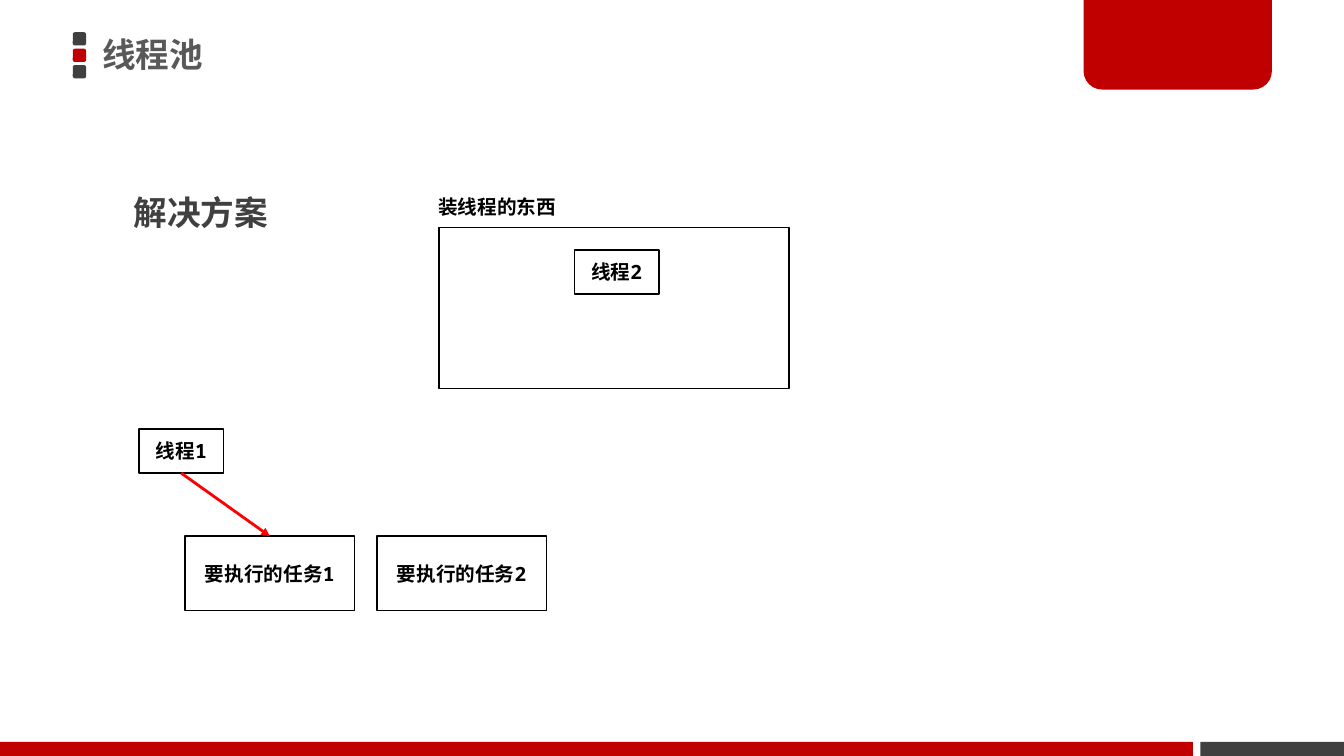
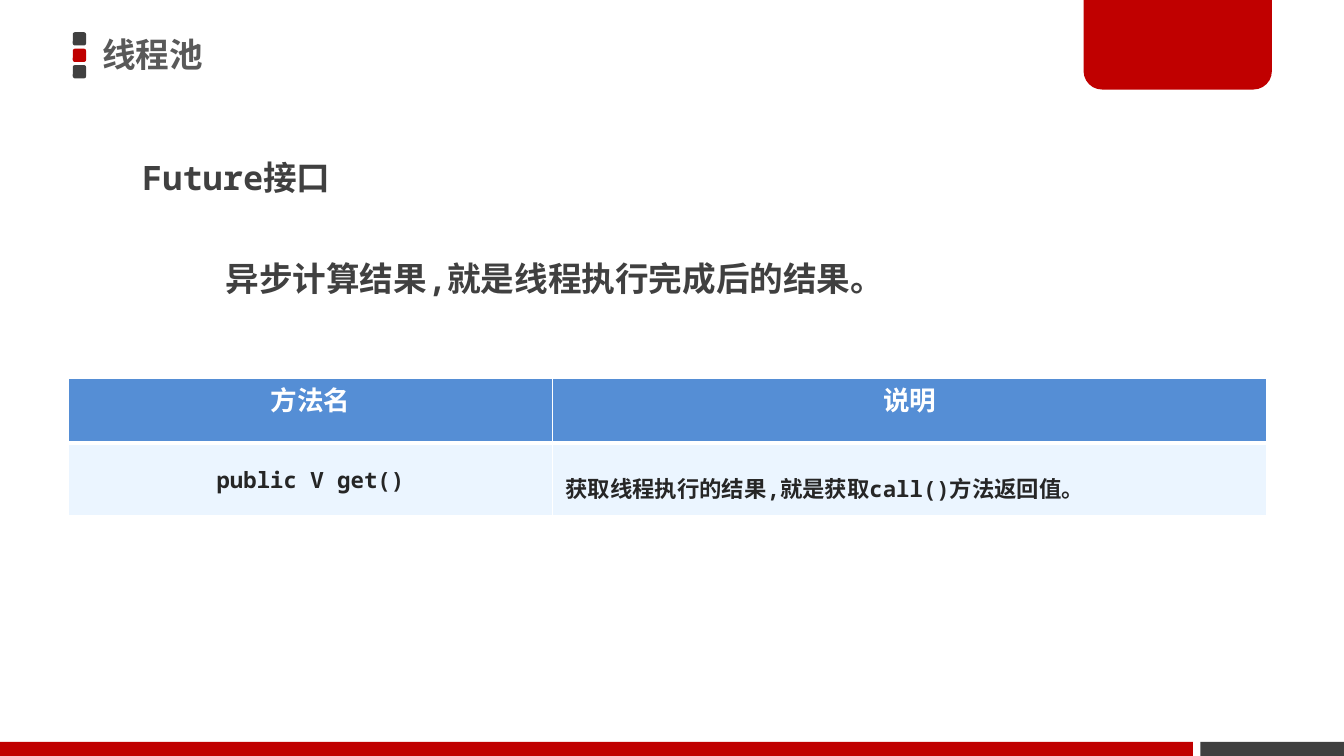
"""Build two slides on thread pools: a task diagram and the Future interface."""
import dataclasses

import lxml.etree
import pptx
import pptx.dml.color
import pptx.enum.shapes
import pptx.enum.text
import pptx.oxml
import pptx.oxml.ns
import pptx.util

Pt = pptx.util.Pt
qn = pptx.oxml.ns.qn
SHAPE = pptx.enum.shapes.MSO_SHAPE
ALIGN = pptx.enum.text.PP_ALIGN
ANCHOR = pptx.enum.text.MSO_ANCHOR


@dataclasses.dataclass(frozen=True)
class Theme:
    red: str = "C00000"
    dark: str = "404040"
    title: str = "595959"
    black: str = "000000"
    white: str = "FFFFFF"
    arrow: str = "FF0000"
    table_head: str = "558ED5"
    table_body: str = "EBF5FF"
    table_text: str = "262626"
    mono: str = "Noto Sans Mono"
    chinese: str = "Noto Sans CJK SC"
    title_font: str = "Noto Sans CJK JP"
    heading_size: float = 24
    label_size: float = 14
    head_size: float = 19
    body_size: float = 16


theme = Theme()


def add_box(page, preset, bounds, fill=None, line=None):
    """Add a preset shape with an optional fill and a 1 pt outline."""
    box = page.shapes.add_shape(preset, *map(Pt, bounds))
    box.shadow.inherit = False
    if fill:
        box.fill.solid()
        box.fill.fore_color.rgb = pptx.dml.color.RGBColor.from_string(fill)
    else:
        box.fill.background()
    if line:
        box.line.color.rgb = pptx.dml.color.RGBColor.from_string(line)
        box.line.width = Pt(1)
    else:
        box.line.fill.background()
    return box


def write(frame, text, size, color, latin=theme.mono, asian=theme.chinese,
          align=ALIGN.LEFT, spacing=None, anchor=ANCHOR.TOP, wrap=True):
    """Write one bold paragraph into a text frame."""
    frame.word_wrap = wrap
    frame.vertical_anchor = anchor
    para = frame.paragraphs[0]
    para.text = text
    para.alignment = align
    para.line_spacing = spacing
    para.font.size = Pt(size)
    para.font.bold = True
    para.font.color.rgb = pptx.dml.color.RGBColor.from_string(color)
    para.font.name = latin
    defaults = para._p.pPr.find(qn("a:defRPr"))
    lxml.etree.SubElement(defaults, qn("a:ea"), typeface=asian)


deck = pptx.Presentation()
deck.slide_width, deck.slide_height = Pt(960), Pt(540)

pages = [deck.slides.add_slide(deck.slide_layouts[6]) for _ in range(2)]
for page in pages:
    for index, color in enumerate((theme.dark, theme.red, theme.dark)):
        add_box(page, SHAPE.ROUNDED_RECTANGLE, (52, 23 + 11.75 * index, 9.5, 9.5), color)
    add_box(page, SHAPE.RECTANGLE, (857.5, 530, 102.5, 10), theme.dark)
    add_box(page, SHAPE.RECTANGLE, (0, 530, 852, 10), theme.red)
    tab = add_box(page, SHAPE.ROUND_2_SAME_RECTANGLE, (774, -2, 134.5, 66), theme.red)
    tab.adjustments[0], tab.adjustments[1] = 0, 0.2
    title = page.shapes.add_textbox(Pt(66), Pt(-2), Pt(565), Pt(85))
    write(title.text_frame, "线程池", theme.heading_size, theme.title, theme.title_font,
          theme.title_font, spacing=0.9, anchor=ANCHOR.MIDDLE)

diagram, interface = pages

headings = (
    (diagram, "解决方案", (88.5, 119, 369, 47)),
    (interface, "Future接口", (94.5, 94, 369, 47)),
    (interface, "异步计算结果,就是线程执行完成后的结果。", (154, 166, 700, 47)),
)
for page, text, bounds in headings:
    heading = page.shapes.add_textbox(*map(Pt, bounds))
    write(heading.text_frame, text, theme.heading_size, theme.dark, spacing=1.5)

add_box(diagram, SHAPE.RECTANGLE, (313.5, 162.5, 250, 115), line=theme.black)
pool_label = diagram.shapes.add_textbox(Pt(306), Pt(136), Pt(99), Pt(24))
write(pool_label.text_frame, "装线程的东西", theme.label_size, theme.black, wrap=False)

nodes = {}
for text, bounds in (
    ("线程1", (99.25, 306.5, 60.5, 31.5)),
    ("线程2", (410.25, 178.5, 60.5, 31.5)),
    ("要执行的任务1", (132.25, 383, 121, 53)),
    ("要执行的任务2", (269.25, 383, 121, 53)),
):
    nodes[text] = add_box(diagram, SHAPE.RECTANGLE, bounds, line=theme.black)
    write(nodes[text].text_frame, text, theme.label_size, theme.black,
          align=ALIGN.CENTER, anchor=ANCHOR.MIDDLE)

arrow = diagram.shapes.add_connector(pptx.enum.shapes.MSO_CONNECTOR.STRAIGHT, 0, 0, 0, 0)
arrow.begin_connect(nodes["线程1"], 2)
arrow.end_connect(nodes["要执行的任务1"], 0)
arrow.line.color.rgb = pptx.dml.color.RGBColor.from_string(theme.arrow)
arrow.line.width = Pt(2)
lxml.etree.SubElement(arrow.line._get_or_add_ln(), qn("a:tailEnd"), type="triangle")
lxml.etree.SubElement(arrow._element.spPr, qn("a:effectLst"))

table = interface.shapes.add_table(2, 2, Pt(49), Pt(270), Pt(856), Pt(99)).table
for column, width in zip(table.columns, (345.5, 510.5)):
    column.width = Pt(width)
for row, height in zip(table.rows, (46.5, 52.5)):
    row.height = Pt(height)

head_style = dict(size=theme.head_size, color=theme.white, latin=theme.chinese,
                  align=ALIGN.CENTER, spacing=Pt(24))
body_style = dict(size=theme.body_size, color=theme.table_text, anchor=ANCHOR.MIDDLE)
cells = (
    (0, 0, "方法名", head_style),
    (0, 1, "说明", head_style),
    (1, 0, "public V get()", body_style | dict(align=ALIGN.CENTER)),
    (1, 1, "获取线程执行的结果,就是获取call()方法返回值。", body_style | dict(spacing=1.5)),
)
for row, column, text, style in cells:
    cell = table.cell(row, column)
    cell.margin_left = cell.margin_right = Pt(9.5)
    cell.margin_top = cell.margin_bottom = Pt(5)
    write(cell.text_frame, text, **style)
    cell.vertical_anchor = style.get("anchor", ANCHOR.TOP)
    properties = cell._tc.get_or_add_tcPr()
    for side, width in (("L", 1), ("R", 1), ("T", 3 if row else 1), ("B", 3)):
        border = lxml.etree.SubElement(properties, qn(f"a:ln{side}"), w=str(Pt(width)))
        paint = lxml.etree.SubElement(border, qn("a:solidFill"))
        lxml.etree.SubElement(paint, qn("a:srgbClr"), val=theme.white)
    cell.fill.solid()
    cell.fill.fore_color.rgb = pptx.dml.color.RGBColor.from_string(
        theme.table_body if row else theme.table_head)

deck.save("out.pptx")
